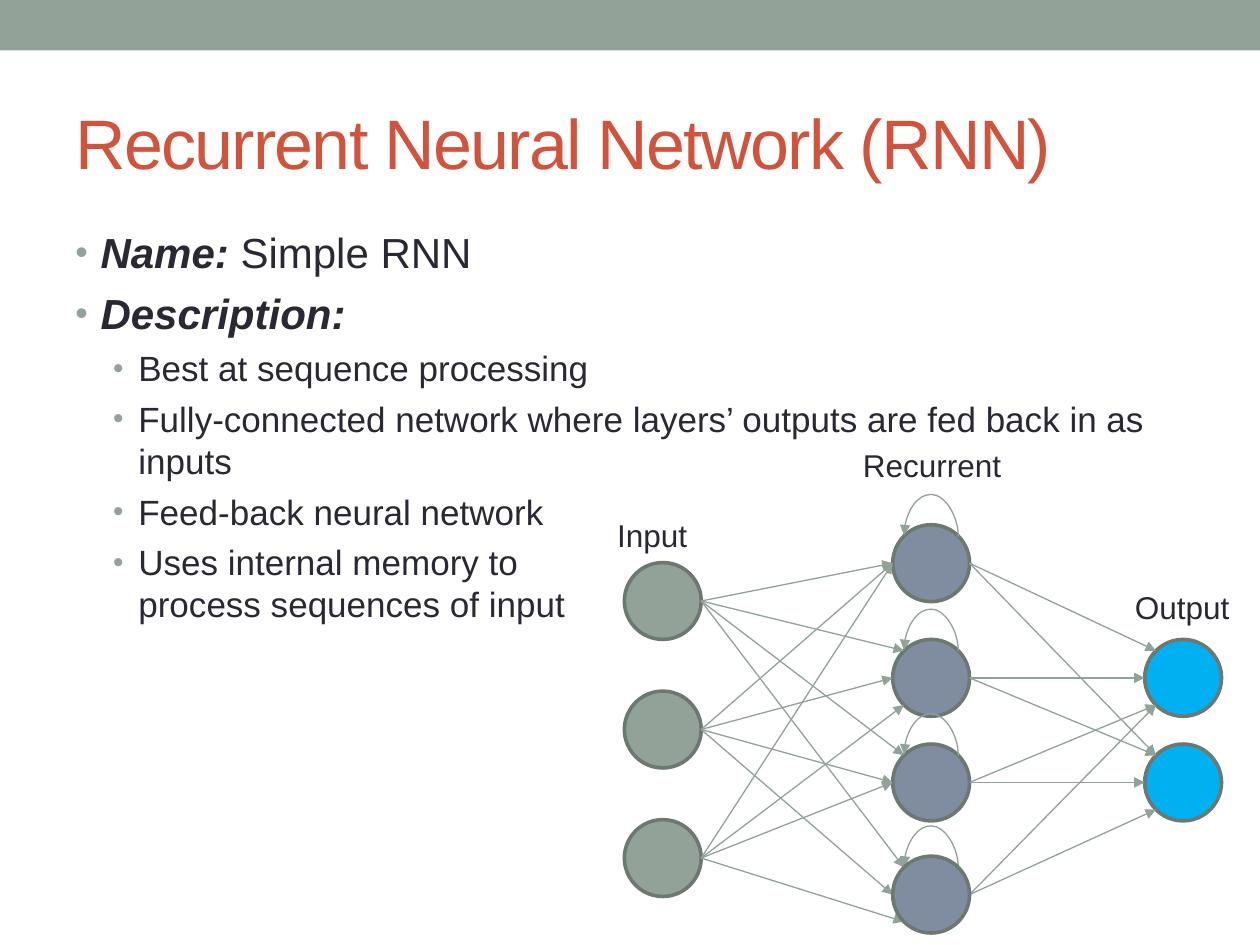
from lxml import etree
from pptx import Presentation
from pptx.dml.color import RGBColor
from pptx.enum.shapes import MSO_CONNECTOR, MSO_SHAPE
from pptx.enum.text import MSO_ANCHOR
from pptx.oxml import parse_xml
from pptx.oxml.ns import nsdecls, qn
from pptx.util import Inches, Pt

RECT, OVAL = MSO_SHAPE.RECTANGLE, MSO_SHAPE.OVAL
STRAIGHT, CURVE = MSO_CONNECTOR.STRAIGHT, MSO_CONNECTOR.CURVE
MIDDLE = MSO_ANCHOR.MIDDLE

THEME = {
    "font": "Arial", "sage": "93A299", "slate": "808DA0", "sky": "00B0F0",
    "outline": "6D7871", "title": "D2533C", "ink": "292934",
    "title_size": 40, "label_size": 18, "level_sizes": (24, 20),
    "node_line": 2.08, "link_line": 0.75,
}
WIDTH, HEIGHT = 10, 7.5
MARGIN = WIDTH * 0.05
CONTENT_WIDTH = WIDTH - 2 * MARGIN

TITLE = "Recurrent Neural Network (RNN)"
POINTS = [
    (0, "Name: ", "Simple RNN"),
    (0, "Description:", ""),
    (1, "", "Best at sequence processing"),
    (1, "", "Fully-connected network where layers’ outputs are fed back in as inputs"),
    (1, "", "Feed-back neural network"),
    (1, "", "Uses internal memory to\vprocess sequences of input"),
]
INDENTS = (0.2, 0.5)
HANGING = 0.2

DIAMETER = 0.61
RADIUS = DIAMETER / 2
DIAGONAL = RADIUS * 0.707
RECURRENT_ROWS = (4.47, 5.38, 6.21, 7.1)
LAYERS = {
    "Input": {"x": 5.26, "rows": [4.77 + 1.02 * row for row in range(3)],
              "fill": "sage", "label": (4.8, 4.05, 0.76)},
    "Recurrent": {"x": 7.39, "rows": RECURRENT_ROWS,
                  "fill": "slate", "label": (6.75, 3.49, 1.31)},
    "Output": {"x": 9.39, "rows": RECURRENT_ROWS[1:3],
               "fill": "sky", "label": (8.91, 4.62, 0.96)},
}
LABEL_HEIGHT = 0.4
ENTRY = {"upper": (-DIAGONAL, -DIAGONAL), "left": (-RADIUS, 0),
         "lower": (-DIAGONAL, DIAGONAL)}
LINKS = [
    ("Input", "Recurrent", [
        ("left", "upper", "upper", "upper"),
        ("left", "left", "left", "left"),
        ("left", "lower", "left", "lower")]),
    ("Recurrent", "Output", [
        ("upper", "upper"), ("left", "upper"),
        ("lower", "left"), ("lower", "lower")]),
]
LOOP_RISE = 0.34
LOOP_SKEW = 0.01


def color(key):
    return RGBColor.from_string(THEME[key])


def add_shape(slide, kind, box, fill, outline=None):
    shape = slide.shapes.add_shape(kind, *map(Inches, box))
    shape.shadow.inherit = False
    shape.fill.solid()
    shape.fill.fore_color.rgb = color(fill)
    if outline:
        shape.line.color.rgb = color(outline)
        shape.line.width = Pt(THEME["node_line"])
    else:
        shape.line.fill.background()


def add_frame(slide, box, wrap=True):
    frame = slide.shapes.add_textbox(*map(Inches, box)).text_frame
    frame.word_wrap = wrap
    return frame


def format_run(run, size, ink="ink"):
    run.font.name = THEME["font"]
    run.font.size = Pt(size)
    run.font.color.rgb = color(ink)


def add_title(slide):
    frame = add_frame(slide, (MARGIN, 0.58, CONTENT_WIDTH, 1.08))
    frame.vertical_anchor = MIDDLE
    frame.text = TITLE
    run = frame.paragraphs[0].runs[0]
    format_run(run, THEME["title_size"], "title")
    run.font._element.set("spc", "-100")


def add_bullet(paragraph, indent):
    props = paragraph._p.get_or_add_pPr()
    props.set("marL", str(Inches(indent)))
    props.set("indent", str(Inches(-HANGING)))
    hue = etree.SubElement(props, qn("a:buClr"))
    etree.SubElement(hue, qn("a:srgbClr"), val=THEME["sage"])
    etree.SubElement(props, qn("a:buSzPct"), val="85000")
    etree.SubElement(props, qn("a:buFont"), typeface=THEME["font"])
    etree.SubElement(props, qn("a:buChar"), char="•")


def add_points(slide):
    frame = add_frame(slide, (MARGIN, 1.75, CONTENT_WIDTH, 5.33))
    for index, (level, lead, body) in enumerate(POINTS):
        paragraph = frame.add_paragraph() if index else frame.paragraphs[0]
        size = THEME["level_sizes"][level]
        paragraph.text = lead + body if not lead else lead
        for run in paragraph.runs:
            run.font.bold = run.font.italic = bool(lead)
        if lead and body:
            paragraph.add_run().text = body
        for run in paragraph.runs:
            format_run(run, size)
        paragraph.level = level
        paragraph.space_before = Pt(size * 0.25)
        add_bullet(paragraph, INDENTS[level])


def add_node(slide, layer, row):
    box = (layer["x"] - RADIUS, row - RADIUS, DIAMETER, DIAMETER)
    add_shape(slide, OVAL, box, layer["fill"], "outline")


def add_arrow(slide, kind, start, end):
    arrow = slide.shapes.add_connector(kind, *map(Inches, start + end))
    arrow.line.color.rgb = color("sage")
    arrow.line.width = Pt(THEME["link_line"])
    etree.SubElement(arrow.line._get_or_add_ln(), qn("a:tailEnd"), type="triangle")
    arrow._element.spPr.append(parse_xml(f"<a:effectLst {nsdecls('a')}/>"))
    return arrow


def add_loop(slide, x, row):
    y = row - DIAGONAL
    loop = add_arrow(slide, CURVE, (x - LOOP_SKEW / 2, y - DIAGONAL),
                     (x + LOOP_SKEW / 2, y + DIAGONAL))
    props = loop._element.spPr
    frame = props.find(qn("a:xfrm"))
    frame.set("rot", "16200000")
    frame.set("flipV", "1")
    guides = props.find(qn("a:prstGeom")).get_or_add_avLst()
    bend = round(LOOP_RISE / LOOP_SKEW * 100000)
    etree.SubElement(guides, qn("a:gd"), name="adj1", fmla=f"val {bend}")


def add_network(slide):
    recurrent = LAYERS["Recurrent"]
    front_row = recurrent["rows"][-1]
    for name, layer in LAYERS.items():
        left, top, width = layer["label"]
        label = add_frame(slide, (left, top, width, LABEL_HEIGHT), wrap=False)
        label.text = name
        format_run(label.paragraphs[0].runs[0], THEME["label_size"])
        for row in layer["rows"]:
            if row != front_row:
                add_node(slide, layer, row)
    for source, target, entries in LINKS:
        origin, goal = LAYERS[source], LAYERS[target]
        for start_row, sides in zip(origin["rows"], entries):
            for end_row, side in zip(goal["rows"], sides):
                dx, dy = ENTRY[side]
                add_arrow(slide, STRAIGHT, (origin["x"] + RADIUS, start_row),
                          (goal["x"] + dx, end_row + dy))
    for row in recurrent["rows"]:
        add_loop(slide, recurrent["x"], row)
    add_node(slide, recurrent, front_row)


def main():
    deck = Presentation()
    deck.slide_width, deck.slide_height = Inches(WIDTH), Inches(HEIGHT)
    slide = deck.slides.add_slide(deck.slide_layouts[6])
    add_shape(slide, RECT, (0, 0, WIDTH, 0.4), "sage")
    add_title(slide)
    add_points(slide)
    add_network(slide)
    deck.save("out.pptx")


if __name__ == "__main__":
    main()
